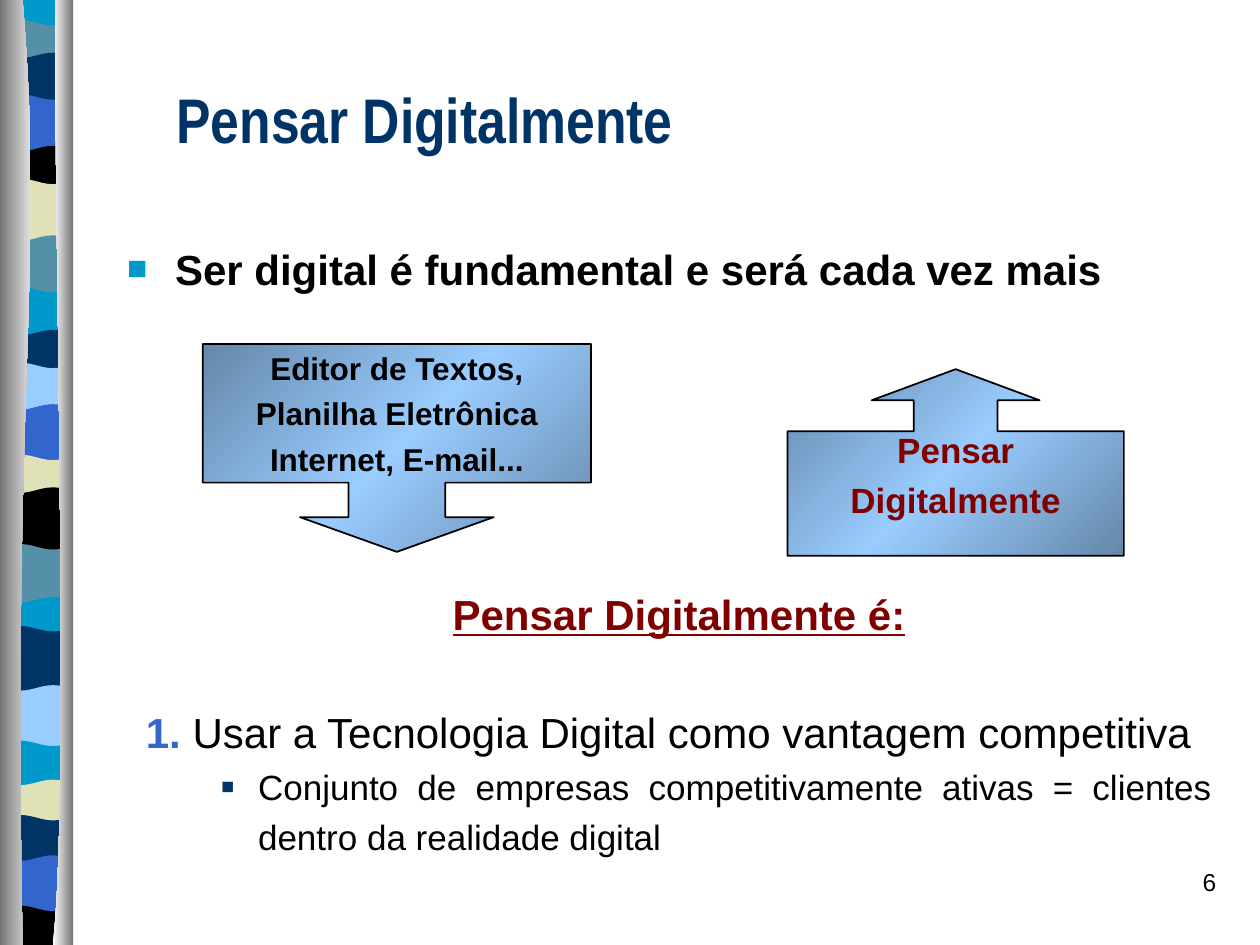
from copy import deepcopy
from math import pi, sin

from lxml import etree
from pptx import Presentation, util as u
from pptx.dml.color import RGBColor
from pptx.enum import shapes, text
from pptx.oxml.ns import qn

# Grid: 100 columns by 75 rows of equal square cells
CELL = u.Inches(0.1)
COLUMNS, ROWS = 100, 75

CYAN = RGBColor(0x00, 0x99, 0xCC)
TEAL = RGBColor(0x54, 0x90, 0xA8)
NAVY = RGBColor(0x00, 0x33, 0x66)
BLUE = RGBColor(0x33, 0x66, 0xCC)
SKY = RGBColor(0x99, 0xCC, 0xFF)
STEEL = RGBColor(0x65, 0x87, 0xA9)
SAND = RGBColor(0xE1, 0xE1, 0xB7)
MAROON = RGBColor(0x80, 0x00, 0x00)
BLACK = RGBColor(0x00, 0x00, 0x00)
GREY = RGBColor(0x76, 0x76, 0x76)
SILVER = RGBColor(0xE0, 0xE0, 0xE0)
WHITE = RGBColor(0xFF, 0xFF, 0xFF)

# Row where each ribbon band starts, and its colour
BANDS = [
    (0, CYAN), (1.8, TEAL), (4.4, NAVY), (7.7, BLUE), (11.8, BLACK),
    (14.4, SAND), (18.9, TEAL), (23, CYAN), (26.4, NAVY), (29, SKY),
    (32.3, BLUE), (36.3, SAND), (38.9, BLACK), (43.4, TEAL), (47.6, CYAN),
    (49.9, NAVY), (54.6, SKY), (59, CYAN), (62.1, SAND), (64.9, NAVY),
    (68.1, BLUE), (72.1, BLACK),
]


def cells(*lengths):
    return [u.Emu(round(length * CELL)) for length in lengths]


def fill_gradient(shape, angle, colours):
    fill = shape.fill
    fill.gradient()
    fill.gradient_angle = angle
    stops = fill.gradient_stops
    holder = shape._element.spPr.find(".//" + qn("a:gsLst"))
    while len(holder) < len(colours):
        holder.append(deepcopy(holder[0]))
    stops = fill.gradient_stops
    for index, colour in enumerate(colours):
        stops[index].color.rgb = colour
        stops[index].position = index / (len(colours) - 1)


def outline(page, points):
    """Closed shape through points given in cells."""
    start, *rest = [cells(*point) for point in points]
    builder = page.shapes.build_freeform(*start)
    builder.add_line_segments(rest, close=True)
    shape = builder.convert_to_shape()
    shape.shadow.inherit = False
    shape.line.fill.background()
    return shape


def bezier(a, b, c, d, t):
    s = 1 - t
    return a * s**3 + 3 * b * s * s * t + 3 * c * s * t * t + d * t**3


def curve(xs, ys, steps=40):
    return [(bezier(*xs, i / steps), bezier(*ys, i / steps))
            for i in range(steps + 1)]


def add_ribbon(page, left, width):
    # Wavy bands, each overlapped by the one below it
    ends = [top for top, _ in BANDS[1:]] + [ROWS]
    for index, ((top, colour), end) in enumerate(zip(BANDS, ends)):
        swing = 0.22 * (-1) ** index if index else 0
        edge = [(left + width * (0.05 + 0.9 * i / 12),
                 top + swing * sin(2 * pi * i / 12)) for i in range(13)]
        bottom = min(end + 0.5, ROWS)
        band = outline(page, edge + [(edge[-1][0], bottom),
                                     (edge[0][0], bottom)])
        band.fill.solid()
        band.fill.fore_color.rgb = colour

    # Metallic sides with a curved inner edge
    sides = [
        (0, (0.31, 0.62, 0.16, 0.31), (0, 21.7, 29.6, ROWS), (GREY, SILVER)),
        (1, (0.76, 0.72, 0.97, 0.72), (0, 12.5, 64.6, ROWS), (WHITE, GREY)),
    ]
    for outer, xs, ys, colours in sides:
        inner = curve([left + width * x for x in xs], ys)
        x = left + width * outer
        fill_gradient(outline(page, inner + [(x, ROWS), (x, 0)]), 0, colours)


def set_font(item, size, colour, bold=False, name="Arial"):
    font = item.font
    font.name, font.size, font.bold = name, u.Pt(size), bold
    font.color.rgb = colour


def set_indent(para, margin, hang, bullet=None, colour=None, percent=100):
    props = para._p.get_or_add_pPr()
    props.set("marL", str(cells(margin)[0]))
    props.set("indent", str(cells(-hang)[0]))
    if bullet:
        tint = etree.SubElement(props, qn("a:buClr"))
        etree.SubElement(tint, qn("a:srgbClr"), val=str(colour))
        etree.SubElement(props, qn("a:buSzPct"), val=str(percent * 1000))
        etree.SubElement(props, qn("a:buFont"), typeface="Arial")
        etree.SubElement(props, qn("a:buChar"), char=bullet)


def place(shape, box):
    shape.left, shape.top, shape.width, shape.height = cells(*box)
    shape.text_frame.auto_size = text.MSO_AUTO_SIZE.NONE


def add_title(page, box):
    title = page.shapes.title
    place(title, box)
    frame = title.text_frame
    frame.vertical_anchor = text.MSO_ANCHOR.BOTTOM
    frame.text = "Pensar Digitalmente"
    frame.paragraphs[0].alignment = text.PP_ALIGN.LEFT
    set_font(frame.paragraphs[0].runs[0], 36, NAVY, True, "Arial Narrow")


def add_body(page, box):
    body = page.placeholders[1]
    place(body, box)
    body.text_frame.text = "Ser digital é fundamental e será cada vez mais"
    para = body.text_frame.paragraphs[0]
    para.alignment = text.PP_ALIGN.JUSTIFY
    para.space_before = u.Pt(0)
    set_indent(para, 3.8, 3.8, "■", CYAN, 80)
    set_font(para.runs[0], 24, BLACK, True)


def add_callout(page, box, kind, arrow, lines, size, colour, lift=0):
    shape = page.shapes.add_shape(kind, *cells(*box))
    shape.shadow.inherit = False
    for index, value in enumerate((arrow, arrow, 0.167, 0.667)):
        shape.adjustments[index] = value
    fill_gradient(shape, 315, (STEEL, SKY, STEEL))
    shape.line.color.rgb = BLACK
    shape.line.width = u.Pt(1)
    frame = shape.text_frame
    frame.word_wrap = False
    frame.vertical_anchor = text.MSO_ANCHOR.MIDDLE
    frame.margin_bottom = cells(0.5 + lift)[0]
    frame.text = "\n".join(lines)
    for index, para in enumerate(frame.paragraphs):
        para.alignment = text.PP_ALIGN.CENTER
        para.space_before = u.Pt(size / 4 if index else 0)
        set_font(para.runs[0], size, colour, True)


def add_points(page, box):
    frame = page.shapes.add_textbox(*cells(*box)).text_frame
    frame.word_wrap = True
    frame.text = "Pensar Digitalmente é:"
    heading, point, detail = (frame.paragraphs[0], frame.add_paragraph(),
                              frame.add_paragraph())
    heading.alignment = text.PP_ALIGN.CENTER
    set_font(heading.runs[0], 24, MAROON, True)
    heading.runs[0].font.underline = True

    set_indent(point, 3.9, 3.9)
    for words, colour, bold in (
            ("1. ", BLUE, True),
            ("Usar a Tecnologia Digital como vantagem competitiva", BLACK, False)):
        span = point.add_run()
        span.text = words
        set_font(span, 24, colour, bold)

    detail.text = ("Conjunto de empresas competitivamente ativas = clientes "
                   "dentro da realidade digital")
    detail.level = 1
    set_indent(detail, 8.9, 3, "▪", NAVY, 120)
    set_font(detail.runs[0], 20, BLACK)
    for para in (point, detail):
        para.alignment = text.PP_ALIGN.JUSTIFY
    for para in frame.paragraphs:
        para.line_spacing = 1.2
    point.space_before = u.Pt(33)


def add_page_number(page, box):
    frame = page.shapes.add_textbox(*cells(*box)).text_frame
    frame.word_wrap = True
    frame.text = "6"
    frame.paragraphs[0].alignment = text.PP_ALIGN.RIGHT
    set_font(frame.paragraphs[0].runs[0], 14, BLACK)


def main():
    deck = Presentation()
    deck.slide_width, deck.slide_height = cells(COLUMNS, ROWS)
    page = deck.slides.add_slide(deck.slide_layouts[1])
    kinds = shapes.MSO_SHAPE
    add_ribbon(page, 0, 5.8)
    add_page_number(page, (76.7, 68.3, 20.8, 5))
    add_title(page, (13, 6.8, 86, 6.1))
    add_body(page, (9.1, 18.8, 85, 16.7))
    add_callout(page, (16.1, 27.3, 30.8, 16.5), kinds.DOWN_ARROW_CALLOUT, 0.466,
                ("Editor de Textos,", "Planilha Eletrônica",
                 "Internet, E-mail..."), 18, BLACK)
    add_callout(page, (62.5, 29.3, 26.7, 14.8), kinds.UP_ARROW_CALLOUT, 0.45,
                ("Pensar", "Digitalmente"), 20, MAROON, lift=3)
    add_points(page, (10.6, 45.4, 86.6, 23.4))
    deck.save("out.pptx")


if __name__ == "__main__":
    main()
